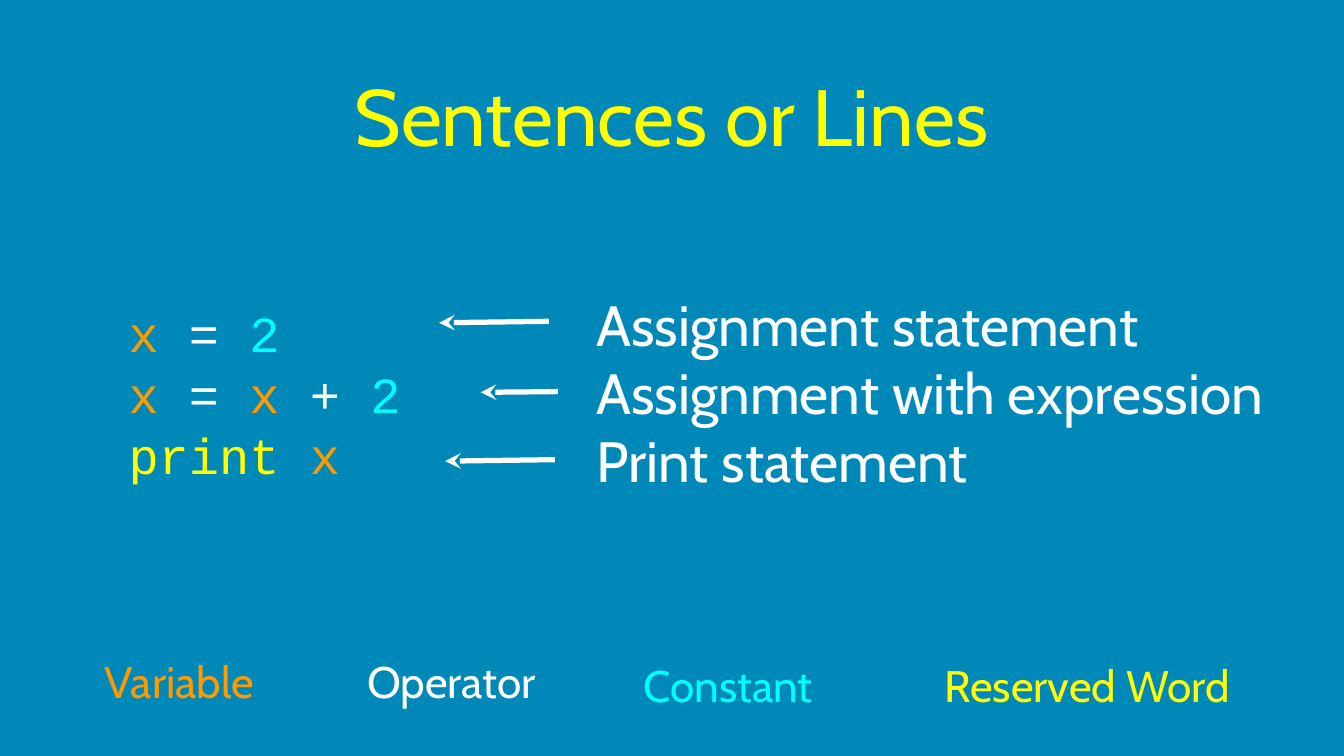
from lxml import etree
from pptx import Presentation
from pptx import util as u
from pptx.dml.color import RGBColor
from pptx.enum import shapes, text
from pptx.oxml import ns

BLUE = RGBColor(0x00, 0x88, 0xB8)
YELLOW = RGBColor(0xFF, 0xFF, 0x00)
ORANGE = RGBColor(0xFF, 0x99, 0x00)
CYAN = RGBColor(0x00, 0xFF, 0xFF)
WHITE = RGBColor(0xFF, 0xFF, 0xFF)

BODY_FONT, CODE_FONT = "Cabin", "Courier New"

CODE = [
    [("x ", ORANGE), ("= ", WHITE), ("2", CYAN)],
    [("x ", ORANGE), ("= ", WHITE), ("x ", ORANGE), ("+ ", WHITE), ("2", CYAN)],
    [("print ", YELLOW), ("x", ORANGE)],
]
MEANINGS = ["Assignment statement", "Assignment with expression", "Print statement"]
LEGEND = [
    ("Variable", ORANGE, 1.09, 8.61, 2.56),
    ("Operator", WHITE, 4.77, 8.61, 2.4),
    ("Constant", CYAN, 8.48, 8.67, 2.31),
    ("Reserved Word", YELLOW, 12.47, 8.67, 3.82),
]
ARROWS = [
    (5.81, 4.27, 7.26, 4.25),
    (6.36, 5.19, 7.38, 5.18),
    (5.89, 6.1, 7.34, 6.08),
]


def set_frame(frame, inset=0):
    """Wrap a text frame, centre it vertically and set equal insets."""
    frame.word_wrap = True
    frame.auto_size = text.MSO_AUTO_SIZE.NONE
    frame.vertical_anchor = text.MSO_ANCHOR.MIDDLE
    frame.margin_left = frame.margin_right = u.Inches(inset)
    frame.margin_top = frame.margin_bottom = u.Inches(inset)


def format_run(run, size, color, font=BODY_FONT):
    """Give a run its size, colour and font."""
    run.font.size = u.Pt(size)
    run.font.color.rgb = color
    run.font.name = font


def add_title(slide, wording):
    """Place and format the title placeholder."""
    title = slide.shapes.title
    title.left, title.top = u.Inches(1.26), u.Inches(0.26)
    title.width, title.height = u.Inches(15.24), u.Inches(2.51)
    set_frame(title.text_frame, 0.04)
    title.text_frame.text = wording
    heading = title.text_frame.paragraphs[0]
    heading.alignment = text.PP_ALIGN.CENTER
    format_run(heading.runs[0], 76, YELLOW)


def add_lines(slide, box, lines, size, font=BODY_FONT, align=None, spacing=None):
    """Add a text box whose lines are lists of (wording, colour) pieces."""
    frame = slide.shapes.add_textbox(*map(u.Inches, box)).text_frame
    set_frame(frame)
    for index, pieces in enumerate(lines):
        line = frame.add_paragraph() if index else frame.paragraphs[0]
        line.alignment = align
        line.line_spacing = spacing
        for wording, color in pieces:
            run = line.add_run()
            run.text = wording
            format_run(run, size, color, font)


def add_arrow(slide, ends):
    """Add a white line with a stealth head at its starting point."""
    arrow = slide.shapes.add_connector(
        shapes.MSO_CONNECTOR.STRAIGHT, *map(u.Inches, ends)
    )
    arrow.line.color.rgb = WHITE
    arrow.line.width = u.Pt(5)
    outline = arrow.line._get_or_add_ln()
    etree.SubElement(outline, ns.qn("a:round"))
    etree.SubElement(outline, ns.qn("a:headEnd"), type="stealth")
    etree.SubElement(arrow._element.spPr, ns.qn("a:effectLst"))


def main():
    """Build and save the slide."""
    deck = Presentation()
    deck.slide_width, deck.slide_height = u.Inches(17.78), u.Inches(10)
    slide = deck.slides.add_slide(deck.slide_layouts.get_by_name("Title Only"))
    slide.background.fill.solid()
    slide.background.fill.fore_color.rgb = BLUE

    add_title(slide, "Sentences or Lines")
    add_lines(slide, (1.7, 2.99, 4.38, 4.42), CODE, 48, CODE_FONT, spacing=u.Pt(58))
    for kind, color, left, top, width in LEGEND:
        box = (left, top, width, 0.79)
        add_lines(slide, box, [[(kind, color)]], 42, align=text.PP_ALIGN.CENTER)
    meanings = [[(meaning, WHITE)] for meaning in MEANINGS]
    add_lines(slide, (7.89, 2.97, 9.26, 4.42), meanings, 54)
    for ends in ARROWS:
        add_arrow(slide, ends)
    deck.save("out.pptx")


if __name__ == "__main__":
    main()
